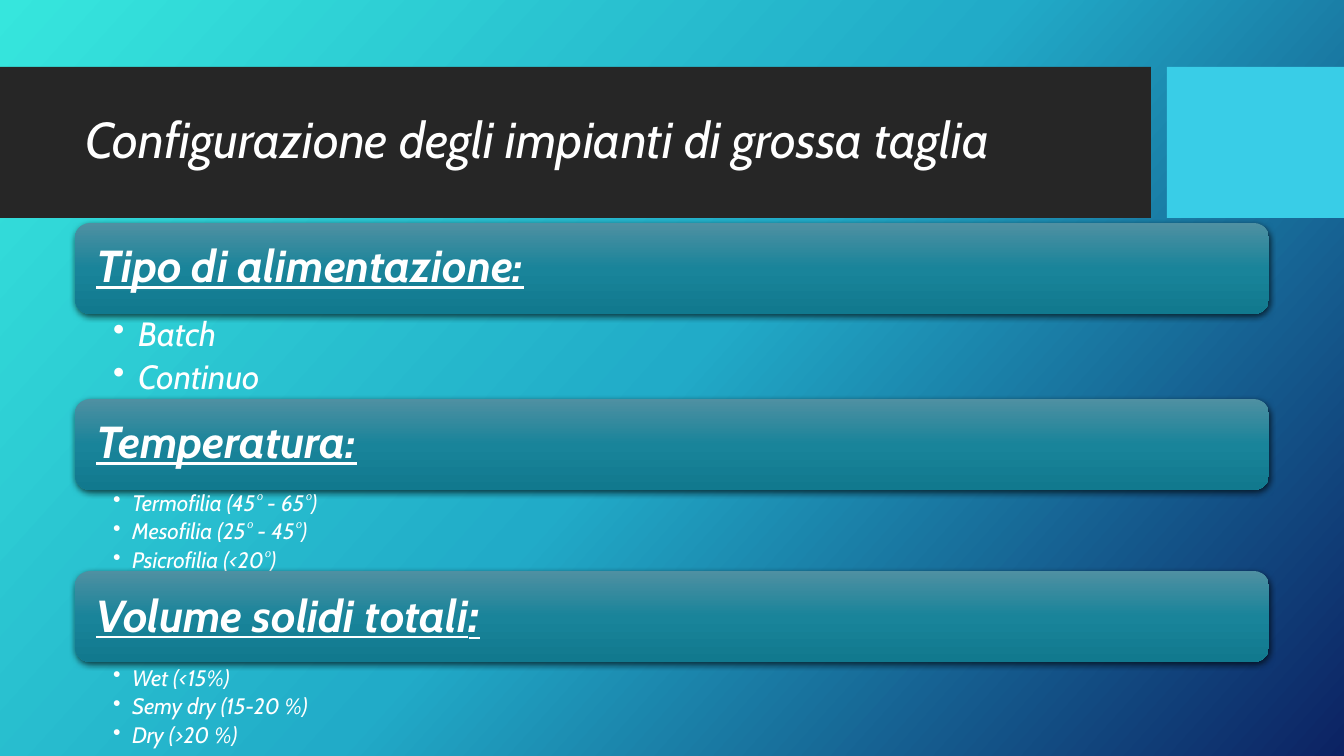
from dataclasses import dataclass

from lxml.etree import SubElement
from pptx import Presentation
from pptx.dml.color import RGBColor
from pptx.enum.shapes import MSO_SHAPE
from pptx.enum.text import MSO_ANCHOR, PP_ALIGN
from pptx.oxml.ns import qn
from pptx.util import Emu, Pt


@dataclass(frozen=True)
class Theme:
    font: str = "Cabin"
    text: str = "FFFFFF"
    band: str = "262626"
    accent: str = "39CDE7"
    shadow: str = "000000"
    background: tuple = ("36E6DD", "21ABC8", "0C2263")
    bar: tuple = ("4F90A2", "19849A", "11798E")
    title_size: int = 36
    heading_size: int = 32
    large_size: int = 24
    small_size: int = 16


def px(n):
    return Emu(round(n * 914400 / 100.8))


class SlideBuilder:
    def __init__(self, prs, theme):
        self.theme = theme
        self.s = prs.slides.add_slide(prs.slide_layouts[5])

    def gradient(self, fill, parent, colors, angle):
        fill.gradient()
        grad = next(parent.iter(qn("a:gradFill")))
        stops = grad.find(qn("a:gsLst"))
        for stop in list(stops):
            stops.remove(stop)
        for i, color in enumerate(colors):
            stop = SubElement(stops, qn("a:gs"), pos=str(i * 50000))
            SubElement(stop, qn("a:srgbClr"), val=color)
        grad.find(qn("a:lin")).set("ang", str(angle * 60000))

    def background(self):
        self.gradient(self.s.background.fill, self.s.element, self.theme.background, 42)

    def shape(self, kind, left, top, width, height):
        sp = self.s.shapes.add_shape(kind, px(left), px(top), px(width), px(height))
        sp.shadow.inherit = False
        sp.line.fill.background()
        return sp

    def rectangle(self, left, top, width, height, color):
        sp = self.shape(MSO_SHAPE.RECTANGLE, left, top, width, height)
        sp.fill.solid()
        sp.fill.fore_color.rgb = RGBColor.from_string(color)

    def frame(self, sp, anchor, insets):
        tf = sp.text_frame
        tf.word_wrap = True
        tf.vertical_anchor = anchor
        tf.margin_left, tf.margin_top, tf.margin_right, tf.margin_bottom = map(px, insets)
        return tf

    def format(self, p, size, strong=False):
        p.alignment = PP_ALIGN.LEFT
        p.line_spacing = 0.9
        for r in p.runs:
            font = r.font
            font.name = self.theme.font
            font.size = Pt(size)
            font.italic = True
            font.bold = font.underline = strong
            font.color.rgb = RGBColor.from_string(self.theme.text)

    def title(self, text, left, top, width, height):
        sp = self.s.shapes.title
        self.s.shapes.element.append(sp.element)
        sp.left, sp.top, sp.width, sp.height = map(px, (left, top, width, height))
        tf = self.frame(sp, MSO_ANCHOR.MIDDLE, (10, 5, 10, 5))
        tf.text = text
        self.format(tf.paragraphs[0], self.theme.title_size)

    def heading(self, texts, left, top, width, height):
        sp = self.shape(MSO_SHAPE.ROUNDED_RECTANGLE, left, top, width, height)
        spPr = sp.element.spPr
        self.gradient(sp.fill, spPr, self.theme.bar, 90)
        shadow = SubElement(spPr.find(qn("a:effectLst")), qn("a:outerShdw"),
                            blurRad=str(Pt(4.5)), dist=str(Pt(1.5)), dir="5400000")
        color = SubElement(shadow, qn("a:srgbClr"), val=self.theme.shadow)
        SubElement(color, qn("a:alpha"), val="63000")
        p = self.frame(sp, MSO_ANCHOR.MIDDLE, (17, 13, 17, 13)).paragraphs[0]
        for text in texts:
            p.add_run().text = text
        self.format(p, self.theme.heading_size, strong=True)
        for r in p.runs[1:]:
            r.font.size = Pt(self.theme.title_size)

    def bullets(self, items, size, indent, insets, left, top, width, height):
        sp = self.s.shapes.add_textbox(px(left), px(top), px(width), px(height))
        tf = self.frame(sp, MSO_ANCHOR.TOP, insets)
        tf.text = "\n".join(items)
        for p in tf.paragraphs:
            pPr = p._p.get_or_add_pPr()
            pPr.set("marL", str(px(indent)))
            pPr.set("indent", str(-px(indent)))
            SubElement(pPr, qn("a:buChar"), char="•")
            p.level = 1
            p.space_after = Pt(size * 0.2)
            self.format(p, size)


def main():
    theme = Theme()
    prs = Presentation()
    prs.slide_width, prs.slide_height = px(1344), px(756)
    slide = SlideBuilder(prs, theme)
    slide.background()
    slide.rectangle(0, 67, 1151, 151, theme.band)
    slide.rectangle(1167, 67, 177, 151, theme.accent)
    slide.title("Configurazione degli impianti di grossa taglia", 75, 83, 1059, 119)

    large = (theme.large_size, 25, (38, 3, 19, 3))
    small = (theme.small_size, 19, (38, 2, 12, 2))
    sections = [
        (223, 314, ["Tipo di alimentazione:"], ["Batch", "Continuo"], large),
        (399, 490, ["Temperatura:"],
         ["Termofilia (45° - 65°)", "Mesofilia (25° - 45°)", "Psicrofilia (<20°)"], small),
        (571, 665, ["Volume solidi totali", ":"],
         ["Wet (<15%)", "Semy dry (15-20 %)", "Dry (>20 %)"], small),
    ]
    for bar_top, list_top, heading, items, style in sections:
        slide.heading(heading, 75, bar_top, 1194, 91)
        slide.bullets(items, *style, 75, list_top, 1194, 86)
    prs.save("out.pptx")


if __name__ == "__main__":
    main()
